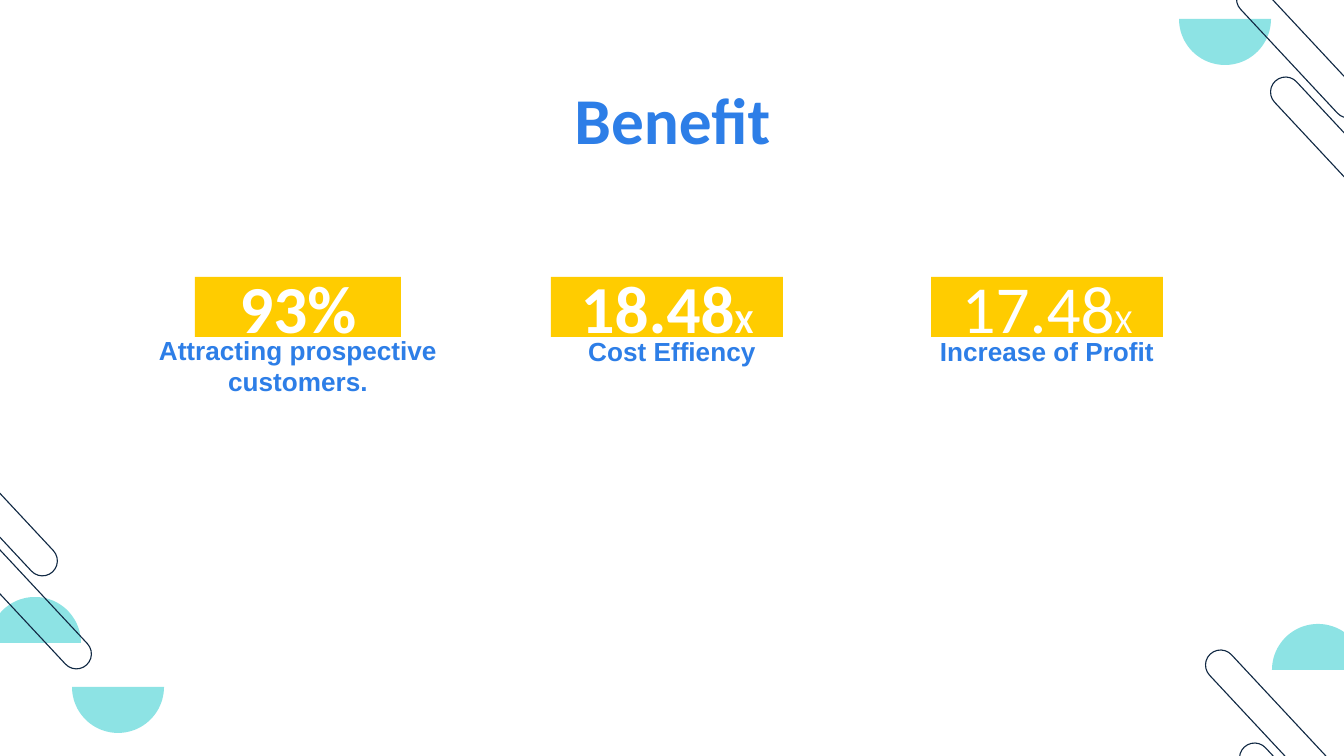
import math
from pptx import Presentation
from pptx import util as u
from pptx.dml.color import RGBColor
from pptx.enum import shapes, text

PX = 914400 / 134.4
COLORS = {"blue": "2D7EE7", "gold": "FFCC00", "teal": "8DE3E4",
          "navy": "102843", "white": "FFFFFF"}
INSET = 13
RADIUS = 46
BAR = (172, 30)
TILT = 47
STEP = (-34, -93)

DOMES = [(1318, 670, -1), (1225, 19, 1), (35, 643, -1), (118, 687, 1)]
PAIRS = [(1303, 810), (1334, 144), (28, 602)]
CARDS = [
    ((195, 277, 206, 60), [("93%", 36)], True,
     (138, 345, 320, 65), "Attracting prospective customers."),
    ((551, 277, 232, 60), [("18.48", 36), ("X", 18)], True,
     (512, 315, 320, 65), "Cost Effiency"),
    ((931, 277, 232, 60), [("17.48", 36), ("X", 18)], False,
     (887, 315, 320, 65), "Increase of Profit"),
]


def px(n):
    return u.Emu(round(n * PX))


def color(name):
    return RGBColor.from_string(COLORS[name])


def apply(obj, values):
    for key, val in values.items():
        setattr(obj, key, val)


def paint(shape, name):
    shape.shadow.inherit = False
    shape.fill.solid()
    shape.fill.fore_color.rgb = color(name)
    shape.line.fill.background()


def write(shape, runs, font, hue, bold, anchor):
    frame = shape.text_frame
    apply(frame, {"word_wrap": True, "vertical_anchor": anchor,
                  "margin_left": px(INSET), "margin_right": px(INSET),
                  "margin_top": px(INSET), "margin_bottom": px(INSET)})
    para = frame.paragraphs[0]
    para.alignment = text.PP_ALIGN.CENTER
    for words, size in runs:
        run = para.add_run()
        run.text = words
        apply(run.font, {"name": font, "size": u.Pt(size), "bold": bold})
        run.font.color.rgb = color(hue)


def add_text(slide, box, runs, font, anchor):
    shape = slide.shapes.add_textbox(*map(px, box))
    write(shape, runs, font, "blue", True, anchor)


def add_badge(slide, box, runs, bold):
    shape = slide.shapes.add_shape(shapes.MSO_SHAPE.RECTANGLE, *map(px, box))
    paint(shape, "gold")
    write(shape, runs, "Calibri", "white", bold, text.MSO_ANCHOR.MIDDLE)


def add_dome(slide, x, y, way):
    arc = [(px(x + RADIUS * math.cos(math.radians(a))),
            px(y + way * RADIUS * math.sin(math.radians(a))))
           for a in range(0, 181, 4)]
    pen = slide.shapes.build_freeform(*arc[0])
    pen.add_line_segments(arc[1:], close=True)
    paint(pen.convert_to_shape(), "teal")


def add_bar(slide, x, y):
    wide, high = BAR
    box = (x - wide / 2, y - high / 2, wide, high)
    bar = slide.shapes.add_shape(
        shapes.MSO_SHAPE.ROUNDED_RECTANGLE, *map(px, box))
    bar.adjustments[0] = 0.5
    bar.rotation = TILT
    bar.shadow.inherit = False
    bar.fill.background()
    bar.line.color.rgb = color("navy")
    bar.line.width = u.Pt(0.59)


def main():
    deck = Presentation()
    apply(deck, {"slide_width": px(1344), "slide_height": px(756)})
    slide = deck.slides.add_slide(deck.slide_layouts[6])
    for dome in DOMES:
        add_dome(slide, *dome)
    for x, y in PAIRS:
        add_bar(slide, x, y)
        add_bar(slide, x + STEP[0], y + STEP[1])
    for box, runs, bold, spot, label in CARDS:
        add_badge(slide, box, runs, bold)
        add_text(slide, spot, [(label, 14)], "Arial", text.MSO_ANCHOR.BOTTOM)
    add_text(slide, (106, 66, 1133, 85), [("Benefit", 35)], "Calibri",
             text.MSO_ANCHOR.TOP)
    deck.save("out.pptx")


if __name__ == "__main__":
    main()
